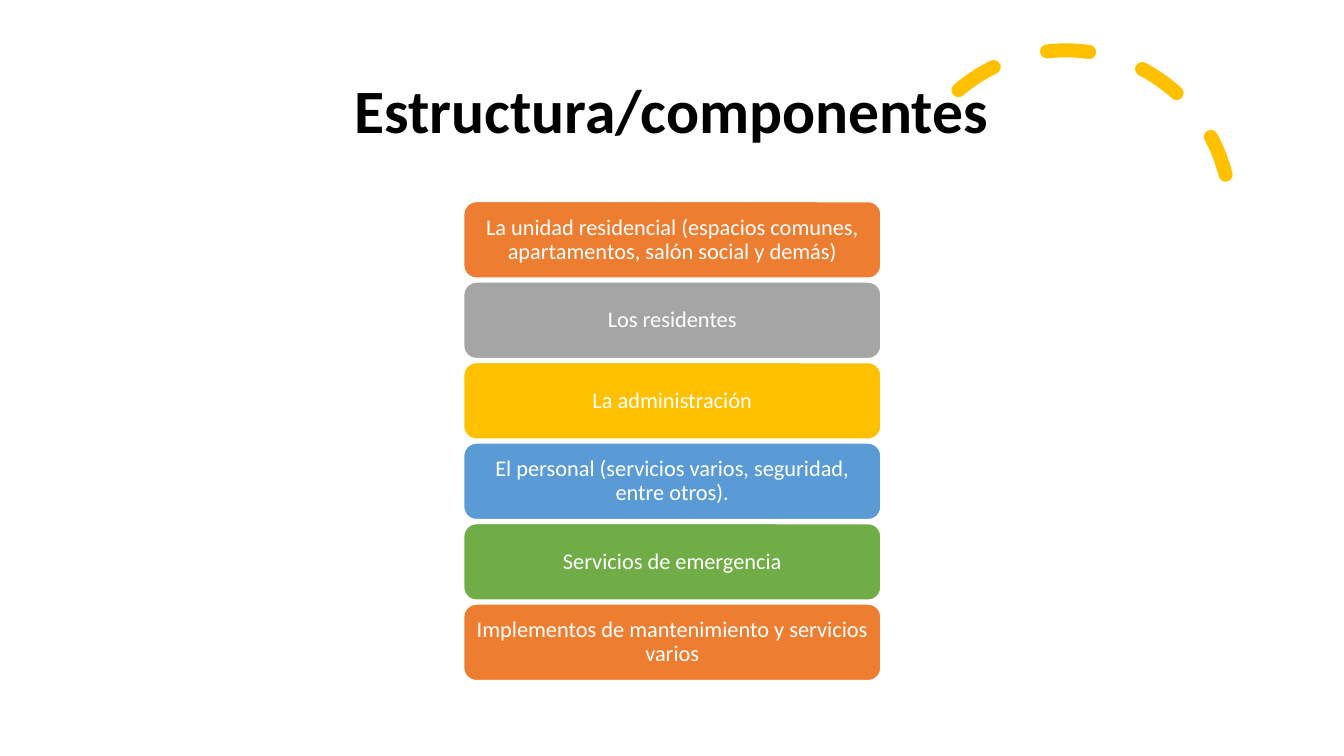
"""Build the slide that lists the components of a residential unit."""
import dataclasses

import lxml.etree
import pptx
import pptx.dml.color
import pptx.enum.dml
import pptx.enum.shapes
import pptx.enum.text
import pptx.oxml.ns
import pptx.shapes.autoshape
import pptx.slide
import pptx.text.text
import pptx.util

Pt = pptx.util.Pt
RGBColor = pptx.dml.color.RGBColor

BLACK = RGBColor(0x00, 0x00, 0x00)
WHITE = RGBColor(0xFF, 0xFF, 0xFF)
ORANGE = RGBColor(0xED, 0x7D, 0x31)
GRAY = RGBColor(0xA5, 0xA5, 0xA5)
GOLD = RGBColor(0xFF, 0xC0, 0x00)
BLUE = RGBColor(0x5B, 0x9B, 0xD5)
GREEN = RGBColor(0x70, 0xAD, 0x47)

FONT = "Calibri"
BAR_LEFT, BAR_TOP = 331.2, 144
BAR_WIDTH, BAR_HEIGHT, BAR_PITCH = 298, 54.7, 57.5


@dataclasses.dataclass(frozen=True)
class Component:
    label: str
    color: RGBColor


COMPONENTS = (
    Component("La unidad residencial (espacios comunes, apartamentos, salón social y demás)", ORANGE),
    Component("Los residentes", GRAY),
    Component("La administración", GOLD),
    Component("El personal (servicios varios, seguridad, entre otros).", BLUE),
    Component("Servicios de emergencia", GREEN),
    Component("Implementos de mantenimiento y servicios varios", ORANGE),
)


def write_centered(frame: pptx.text.text.TextFrame, text: str, size: float,
                   color: RGBColor, bold: bool = False) -> None:
    frame.word_wrap = True
    frame.vertical_anchor = pptx.enum.text.MSO_ANCHOR.MIDDLE
    para = frame.paragraphs[0]
    para.alignment = pptx.enum.text.PP_ALIGN.CENTER
    para.line_spacing = 0.9
    span = para.add_run()
    span.text = text
    span.font.name = FONT
    span.font.size = Pt(size)
    span.font.bold = bold
    span.font.color.rgb = color


def add_outlined_shape(page: pptx.slide.Slide, kind: pptx.enum.shapes.MSO_SHAPE,
                       left: float, top: float, width: float, height: float,
                       line_color: RGBColor, line_width: float) -> pptx.shapes.autoshape.Shape:
    shape = page.shapes.add_shape(kind, Pt(left), Pt(top), Pt(width), Pt(height))
    shape.shadow.inherit = False
    shape.line.color.rgb = line_color
    shape.line.width = Pt(line_width)
    return shape


def add_dashed_arc(page: pptx.slide.Slide) -> None:
    arc = add_outlined_shape(page, pptx.enum.shapes.MSO_SHAPE.ARC,
                             643.7, 36, 235.4, 235.4, GOLD, 10)
    arc.adjustments[0] = 146.13
    arc.adjustments[1] = 0
    arc.rotation = 345.8
    arc.fill.background()
    arc.line.dash_style = pptx.enum.dml.MSO_LINE.DASH
    outline = arc.element.spPr.find(pptx.oxml.ns.qn("a:ln"))
    outline.set("cap", "rnd")
    dash = outline.find(pptx.oxml.ns.qn("a:prstDash"))
    dash.addnext(lxml.etree.Element(pptx.oxml.ns.qn("a:round")))


def add_title(page: pptx.slide.Slide) -> None:
    title = page.shapes.title
    title.left, title.top = Pt(66), Pt(28.8)
    title.width, title.height = Pt(828), Pt(104.4)
    write_centered(title.text_frame, "Estructura/componentes", 44, BLACK, bold=True)


def add_component(page: pptx.slide.Slide, component: Component, top: float) -> None:
    bar = add_outlined_shape(page, pptx.enum.shapes.MSO_SHAPE.ROUNDED_RECTANGLE,
                             BAR_LEFT, top, BAR_WIDTH, BAR_HEIGHT, WHITE, 1)
    bar.fill.solid()
    bar.fill.fore_color.rgb = component.color
    frame = bar.text_frame
    frame.margin_left = frame.margin_right = Pt(4.8)
    frame.margin_top = frame.margin_bottom = Pt(2.4)
    write_centered(frame, component.label, 16, WHITE)


def main() -> None:
    deck = pptx.Presentation()
    deck.slide_width, deck.slide_height = Pt(960), Pt(540)
    page = deck.slides.add_slide(deck.slide_layouts.get_by_name("Title Only"))
    page.background.fill.solid()
    page.background.fill.fore_color.rgb = WHITE
    add_dashed_arc(page)
    add_title(page)
    for index, component in enumerate(COMPONENTS):
        add_component(page, component, BAR_TOP + index * BAR_PITCH)
    deck.save("out.pptx")


if __name__ == "__main__":
    main()
